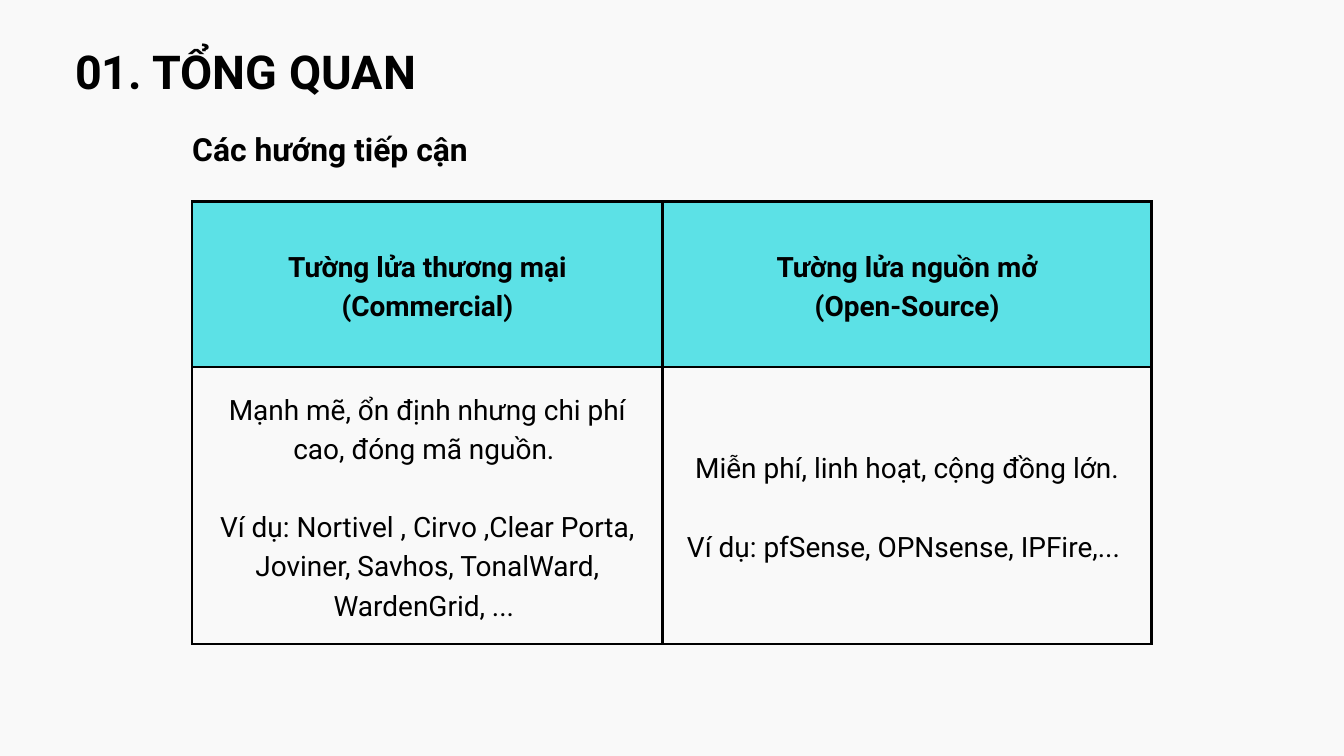
from lxml import etree
from pptx import Presentation
from pptx.dml.color import RGBColor
from pptx.enum.text import MSO_ANCHOR, MSO_AUTO_SIZE, PP_ALIGN
from pptx.oxml.ns import qn
from pptx.util import Pt

TOP, MIDDLE = MSO_ANCHOR.TOP, MSO_ANCHOR.MIDDLE
LEFT, CENTER, JUSTIFY = PP_ALIGN.LEFT, PP_ALIGN.CENTER, PP_ALIGN.JUSTIFY
NO_FIT = MSO_AUTO_SIZE.NONE
TITLE_ONLY = 5

FONT = "Roboto"
COLORS = {"background": "F9F9F9", "ink": "000000", "header": "5CE1E6"}

TABLE_LEFT, TABLE_TOP = 206, 216
COLUMN_WIDTHS = [504, 524]
ROW_HEIGHTS = [177, 297]
CELL_MARGIN = 15
CELL_LINE = 42
BORDER = 3

HEADERS = [
    ["Tường lửa thương mại", "(Commercial)"],
    ["Tường lửa nguồn mở", "(Open-Source)"],
]
APPROACHES = [
    ["Mạnh mẽ, ổn định nhưng chi phí cao, đóng mã nguồn. ",
     "Ví dụ: Nortivel , Cirvo ,Clear Porta, Joviner, Savhos, TonalWard, "
     "WardenGrid, ... "],
    ["Miễn phí, linh hoạt, cộng đồng lớn.",
     "Ví dụ: pfSense, OPNsense, IPFire,... "],
]


def color(name):
    return RGBColor.from_string(COLORS[name])


def write(tf, lines, size, spacing, align, bold=True, gap=0):
    """Write one paragraph per line, with a gap in points between them."""
    for i, line in enumerate(lines):
        p = tf.paragraphs[0] if i == 0 else tf.add_paragraph()
        p.alignment = align
        p.line_spacing = Pt(spacing)
        p.space_before = Pt(gap if i else 0)
        r = p.add_run()
        r.text = line
        r.font.name = FONT
        r.font.size = Pt(size)
        r.font.bold = bold
        r.font.color.rgb = color("ink")


def format_heading(sp, box, text, size, spacing, align):
    sp.left, sp.top, sp.width, sp.height = [Pt(v) for v in box]
    tf = sp.text_frame
    tf.word_wrap = True
    tf.auto_size = NO_FIT
    tf.vertical_anchor = TOP
    tf.margin_left = tf.margin_right = tf.margin_top = tf.margin_bottom = 0
    write(tf, [text], size, spacing, align)


def add_borders(cell):
    tc_pr = cell._tc.get_or_add_tcPr()
    for i, side in enumerate(("lnL", "lnR", "lnT", "lnB")):
        ln = etree.Element(qn("a:" + side), w=str(Pt(BORDER)))
        fill = etree.SubElement(ln, qn("a:solidFill"))
        etree.SubElement(fill, qn("a:srgbClr"), val=COLORS["ink"])
        tc_pr.insert(i, ln)


def format_cell(cell, lines, header):
    cell.margin_left = cell.margin_right = Pt(CELL_MARGIN)
    cell.margin_top = cell.margin_bottom = Pt(CELL_MARGIN)
    cell.vertical_anchor = MIDDLE
    if header:
        cell.fill.solid()
        cell.fill.fore_color.rgb = color("header")
    else:
        cell.fill.background()
    add_borders(cell)
    write(cell.text_frame, lines, 30, CELL_LINE, CENTER,
          bold=header, gap=0 if header else CELL_LINE)


def add_comparison(s):
    table = s.shapes.add_table(
        len(ROW_HEIGHTS), len(COLUMN_WIDTHS), Pt(TABLE_LEFT), Pt(TABLE_TOP),
        Pt(sum(COLUMN_WIDTHS)), Pt(sum(ROW_HEIGHTS))).table
    table.horz_banding = False
    for column, width in zip(table.columns, COLUMN_WIDTHS):
        column.width = Pt(width)
    for row, height in zip(table.rows, ROW_HEIGHTS):
        row.height = Pt(height)
    for i, row in enumerate([HEADERS, APPROACHES]):
        for j, lines in enumerate(row):
            format_cell(table.cell(i, j), lines, header=i == 0)


def main():
    prs = Presentation()
    prs.slide_width, prs.slide_height = Pt(1440), Pt(810)
    s = prs.slides.add_slide(prs.slide_layouts[TITLE_ONLY])
    s.background.fill.solid()
    s.background.fill.fore_color.rgb = color("background")

    format_heading(s.shapes.title, (80.5, 35.5, 736, 67), "01. TỔNG QUAN",
                   50, 70, LEFT)
    subtitle = s.shapes.add_textbox(0, 0, 0, 0)
    format_heading(subtitle, (TABLE_LEFT, 132.5, 850, 45),
                   "Các hướng tiếp cận", 34.1, 47.7, JUSTIFY)
    add_comparison(s)
    prs.save("out.pptx")


if __name__ == "__main__":
    main()
